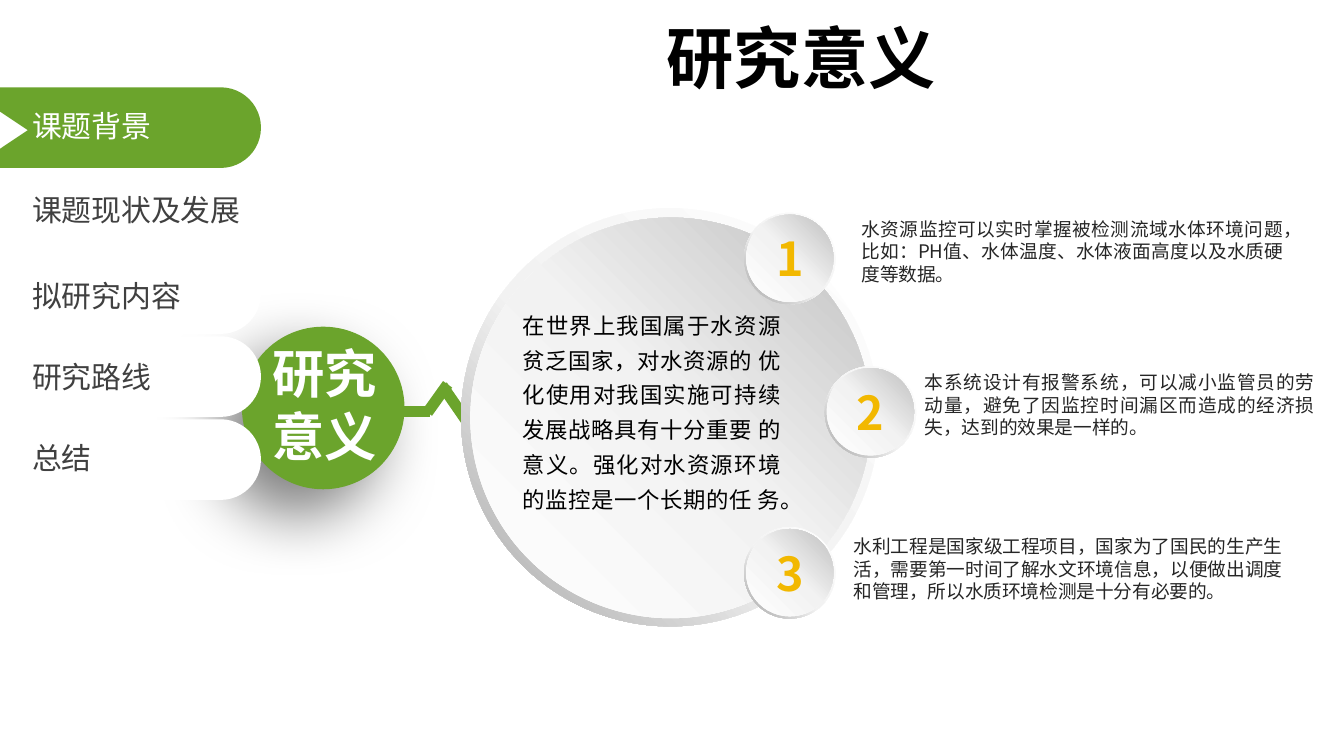
import pptx
import pptx.dml.color
import pptx.enum.shapes
import pptx.enum.text
import pptx.oxml
import pptx.oxml.ns
import pptx.util

Pt = pptx.util.Pt
SHAPE = pptx.enum.shapes.MSO_SHAPE
ALIGN = pptx.enum.text.PP_ALIGN
NAMESPACE = pptx.oxml.ns.nsdecls("a")
SANS = "Noto Sans CJK SC"
SANS_TC = "Noto Sans CJK TC"
COLORS = {
    "green": "6BA42C", "gold": "F2B800", "white": "FFFFFF", "black": "000000",
    "body": "262626", "menu": "404040",
    "pale": "F2F2F2", "silver": "BFBFBF", "gray": "A6A6A6",
}
# Gradients: stops as (percent, colour), then the angle in degrees
RIM = ([(0, "white"), (55, "pale"), (100, "gray")], 135)
FACE = ([(0, "white"), (51, "pale"), (100, "silver")], 315)

presentation = pptx.Presentation()
presentation.slide_width = Pt(720)
presentation.slide_height = Pt(405)
slide = presentation.slides.add_slide(presentation.slide_layouts[6])


def add_filled(kind, left, top, width, height, fill, adjustment=None):
    """Add a borderless shape; fill is a colour name or a gradient."""
    shape = slide.shapes.add_shape(kind, Pt(left), Pt(top), Pt(width), Pt(height))
    shape.shadow.inherit = False
    shape.line.fill.background()
    if adjustment is not None:
        shape.adjustments[0] = adjustment
    if isinstance(fill, str):
        shape.fill.solid()
        shape.fill.fore_color.rgb = pptx.dml.color.RGBColor.from_string(COLORS[fill])
    else:
        stops, angle = fill
        stop_xml = "".join(
            f'<a:gs pos="{percent * 1000}"><a:srgbClr val="{COLORS[name]}"/></a:gs>'
            for percent, name in stops)
        shape.fill.background()
        properties = shape._element.spPr
        properties.replace(
            properties.find(pptx.oxml.ns.qn("a:noFill")),
            pptx.oxml.parse_xml(
                f'<a:gradFill {NAMESPACE} rotWithShape="1"><a:gsLst>{stop_xml}</a:gsLst>'
                f'<a:lin ang="{angle * 60000}" scaled="0"/></a:gradFill>'))
    return shape


def write(shape, lines, size, color, align=ALIGN.JUSTIFY, bold=False,
          font=SANS, inset=True, wrap=True, spacing=None):
    """Fill a shape or text box with one paragraph per line."""
    frame = shape.text_frame
    frame.word_wrap = wrap
    if not inset:
        frame.margin_left = frame.margin_right = Pt(0)
        frame.margin_top = frame.margin_bottom = Pt(0)
    for index, line in enumerate(lines):
        paragraph = frame.add_paragraph() if index else frame.paragraphs[0]
        paragraph.alignment = align
        paragraph.line_spacing = spacing
        run = paragraph.add_run()
        run.text = line
        run.font.size = Pt(size)
        run.font.bold = bold
        run.font.name = font
        run.font.color.rgb = pptx.dml.color.RGBColor.from_string(COLORS[color])
        run._r.get_or_add_rPr().find(pptx.oxml.ns.qn("a:latin")).addnext(
            pptx.oxml.parse_xml(f'<a:ea {NAMESPACE} typeface="{font}"/>'))


# Green topic circle with a soft shadow to the lower left
topic = add_filled(SHAPE.OVAL, 129.6, 175, 87.1, 87.1, "green")
topic._element.spPr.find(pptx.oxml.ns.qn("a:effectLst")).append(
    pptx.oxml.parse_xml(
        f'<a:outerShdw {NAMESPACE} blurRad="{Pt(35)}" dist="{Pt(20)}" '
        f'dir="{135 * 60000}" algn="tr" rotWithShape="0">'
        f'<a:srgbClr val="{COLORS["black"]}"><a:alpha val="50000"/></a:srgbClr>'
        '</a:outerShdw>'))

# Zigzag link from the topic to the large disc
link_segments = [
    (195.1, 220.3, 230.4, 220.3),
    (262.1, 221.8, 290.9, 221.8),
    (229, 221, 239.8, 205.9),
    (252.7, 234.7, 263.5, 221),
    (256.3, 234.7, 236.9, 206.6),
]
for segment in link_segments:
    connector = slide.shapes.add_connector(
        pptx.enum.shapes.MSO_CONNECTOR.STRAIGHT, *map(Pt, segment))
    connector.line.width = Pt(6)
    connector.line.color.rgb = pptx.dml.color.RGBColor.from_string(COLORS["green"])
    connector._element.spPr.append(
        pptx.oxml.parse_xml(f"<a:effectLst {NAMESPACE}/>"))

# Large disc, then the numbered discs: left and top of each rim
add_filled(SHAPE.DONUT, 247, 111.6, 224, 224, RIM, 0.049)
add_filled(SHAPE.OVAL, 252, 116.6, 214.6, 214.6, FACE)
badges = [(398.6, 114), (441.8, 196.2), (398.6, 282.4)]
for number, (left, top) in enumerate(badges, start=1):
    add_filled(SHAPE.DONUT, left, top, 49, 49, RIM, 0.049)
    badge = add_filled(SHAPE.OVAL, left + 1.1, top + 1, 46.8, 46.8, FACE)
    badge.text_frame.vertical_anchor = pptx.enum.text.MSO_ANCHOR.MIDDLE
    write(badge, [str(number)], 25, "gold", ALIGN.CENTER, bold=True)

topic_label = slide.shapes.add_textbox(Pt(145.4), Pt(182.9), Pt(56.9), Pt(67.7))
write(topic_label, ["研究", "意义"], 28, "white", ALIGN.CENTER,
      bold=True, inset=False, wrap=False)

reasons = [
    (461.5, 116.6, 226.1, ["水资源监控可以实时掌握被检测流域水体环境问题，",
                           "比如：PH值、水体温度、水体液面高度以及水质硬度等数据。"]),
    (495.4, 198.9, 208.8, ["本系统设计有报警系统，可以减小监管员的劳动量，避免了因"
                           "监控时间漏区而造成的经济损失，达到的效果是一样的。"]),
    (457.2, 286.7, 229.7, ["水利工程是国家级工程项目，国家为了国民的生产生活，需要第一时间"
                           "了解水文环境信息，以便做出调度和管理，所以水质环境检测是十分有必要的。"]),
]
for left, top, width, lines in reasons:
    reason = slide.shapes.add_textbox(Pt(left), Pt(top), Pt(width), Pt(36))
    write(reason, lines, 10, "body", inset=False)

summary = slide.shapes.add_textbox(Pt(280.1), Pt(162.7), Pt(138.2), Pt(129.6))
write(summary, ["在世界上我国属于水资源贫乏国家，对水资源的 优化使用对我国实施可持续"
                "发展战略具有十分重要 的意义。强化对水资源环境的监控是一个长期的任 务。"],
      12, "black", inset=False, spacing=1.3)

title = slide.shapes.add_textbox(Pt(277.2), Pt(5), Pt(303.8), Pt(51.1))
write(title, ["研究意义"], 36, "black", ALIGN.CENTER, bold=True)

# Side menu: the first entry is the active one
menu = [("课题背景", 54), ("课题现状及发展", 99.4), ("拟研究内容", 145.4),
        ("研究路线", 188.6), ("总结", 231.8)]
for index, (label, top) in enumerate(menu):
    active = index == 0
    add_filled(SHAPE.ROUNDED_RECTANGLE, -25.2, 46.8 + 44.46 * index, 165, 43.2,
               "green" if active else "white", 0.5)
    entry = slide.shapes.add_textbox(Pt(10.1), Pt(top), Pt(131.8), Pt(26.6))
    write(entry, [label], 16, "white" if active else "menu", ALIGN.LEFT,
          font=SANS if active else SANS_TC)

marker = add_filled(SHAPE.ISOSCELES_TRIANGLE, -2.9, 62.2, 20.2, 15.1, "white")
marker.rotation = 90

presentation.save("out.pptx")
